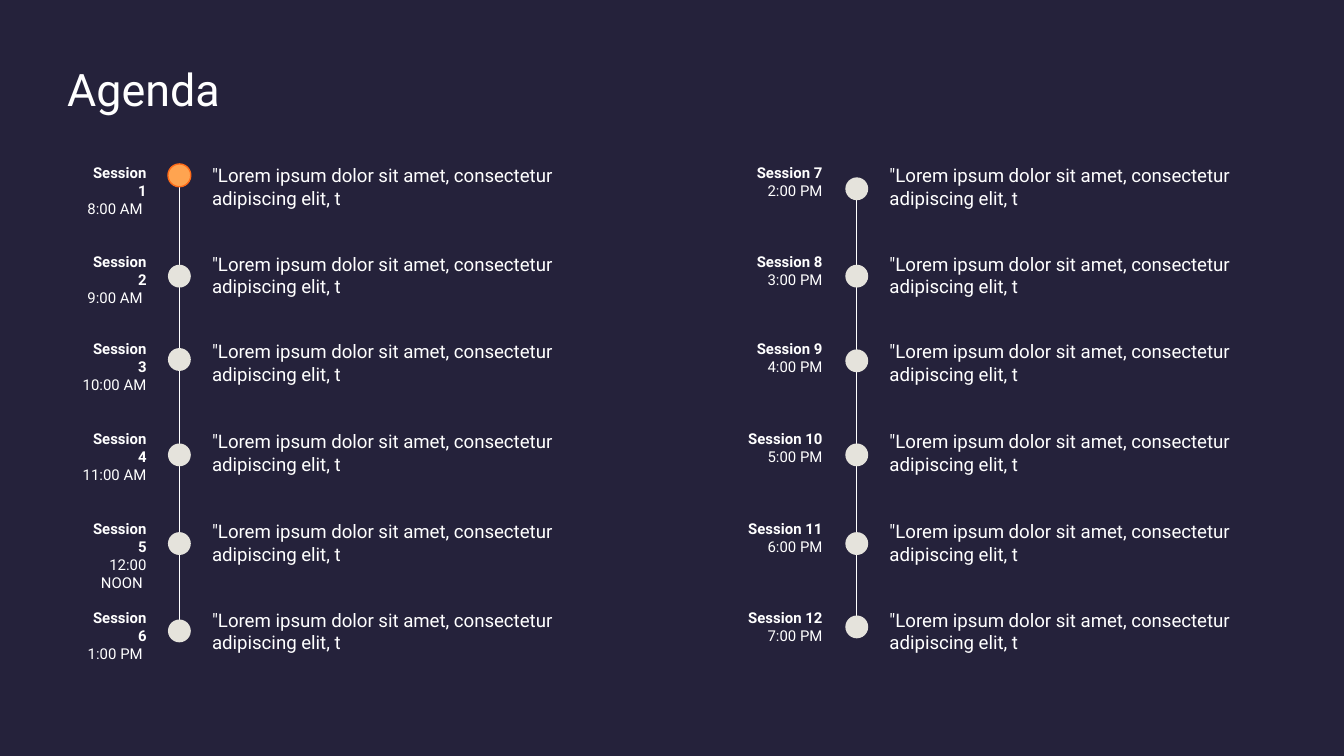
from lxml.etree import SubElement
from pptx import Presentation
from pptx.dml.color import RGBColor
from pptx.enum.shapes import MSO_CONNECTOR as CONNECTOR, MSO_SHAPE as SHAPE
from pptx.enum.text import MSO_ANCHOR as ANCHOR, MSO_AUTO_SIZE as AUTO_SIZE, PP_ALIGN as ALIGN
from pptx.oxml.ns import qn
from pptx.util import Inches, Pt

TITLE = "Agenda"
SUMMARY = '"Lorem ipsum dolor sit amet, consectetur adipiscing elit, t'
COLUMNS = [
    {
        "label_left": 0.51, "label_width": 0.68, "dot_left": 1.25, "summary_left": 1.48,
        "sessions": [
            ("Session 1", "8:00 AM ", 1.22),
            ("Session 2", "9:00 AM ", 1.97),
            ("Session 3", "10:00 AM", 2.59),
            ("Session 4", "11:00 AM ", 3.3),
            ("Session 5", "12:00 NOON ", 3.96),
            ("Session 6", "1:00 PM ", 4.61),
        ],
    },
    {
        "label_left": 5.44, "label_width": 0.78, "dot_left": 6.29, "summary_left": 6.52,
        "sessions": [
            ("Session 7", "2:00 PM", 1.32),
            ("Session 8", "3:00 PM", 1.97),
            ("Session 9", "4:00 PM", 2.6),
            ("Session 10", "5:00 PM", 3.3),
            ("Session 11", "6:00 PM", 3.96),
            ("Session 12", "7:00 PM", 4.58),
        ],
    },
]
CURRENT = "Session 1"
ROW_TOPS = (1.12, 1.78, 2.43, 3.1, 3.77, 4.43)
SLIDE_WIDTH, ROW_HEIGHT, SUMMARY_WIDTH, DOT = 10, 0.57, 2.86, 0.17
NIGHT, WHITE, STONE, ORANGE, RIM = "25223B", "FFFFFF", "E5E3DC", "FFA450", "FF6B18"


def rgb(value):
    """Return the colour for a hex string."""
    return RGBColor.from_string(value)


def write(shape, lines, align=ALIGN.LEFT):
    """Fill a shape with (text, size, bold) paragraphs."""
    frame = shape.text_frame
    frame.word_wrap = True
    frame.auto_size = AUTO_SIZE.NONE
    frame.vertical_anchor = ANCHOR.TOP
    frame.margin_left = frame.margin_right = Inches(0.1)
    frame.margin_top = frame.margin_bottom = Inches(0.1)
    frame.text = "\n".join(text for text, _, _ in lines)
    for paragraph, (_, size, bold) in zip(frame.paragraphs, lines):
        paragraph.alignment = align
        font = paragraph.font
        font.name, font.size, font.bold = "Roboto", Pt(size), bold
        font.color.rgb = rgb(WHITE)


def add_text(slide, left, top, width, lines, align=ALIGN.LEFT):
    """Add a text box of one row's height."""
    box = slide.shapes.add_textbox(*map(Inches, (left, top, width, ROW_HEIGHT)))
    write(box, lines, align)


def add_timeline(slide, x, start, end):
    """Add the vertical line that links the dots."""
    line = slide.shapes.add_connector(CONNECTOR.STRAIGHT, *map(Inches, (x, start, x, end)))
    line.line.color.rgb = rgb(WHITE)
    line.line.width = Pt(0.75)
    SubElement(line._element.spPr, qn("a:effectLst"))


def add_dot(slide, left, top, current):
    """Add a session dot, highlighted for the current session."""
    dot = slide.shapes.add_shape(SHAPE.OVAL, *map(Inches, (left, top, DOT, DOT)))
    dot.shadow.inherit = False
    dot.fill.solid()
    dot.fill.fore_color.rgb = rgb(ORANGE if current else STONE)
    if current:
        dot.line.color.rgb = rgb(RIM)
        dot.line.width = Pt(0.75)
    else:
        dot.line.fill.background()


def add_column(slide, column):
    """Add one timeline with its labels and summaries."""
    sessions = column["sessions"]
    first_dot, last_dot = sessions[0][2], sessions[-1][2]
    add_timeline(slide, column["dot_left"] + DOT / 2, first_dot + DOT / 2, last_dot)
    for top, (session, time, dot_top) in zip(ROW_TOPS, sessions):
        add_dot(slide, column["dot_left"], dot_top, session == CURRENT)
        label = [(session, 8, True), (time, 8, False)]
        add_text(slide, column["label_left"], top, column["label_width"], label, ALIGN.RIGHT)
        add_text(slide, column["summary_left"], top, SUMMARY_WIDTH, [(SUMMARY, 10, False)])


def main():
    """Build the agenda slide."""
    deck = Presentation()
    deck.slide_width, deck.slide_height = Inches(SLIDE_WIDTH), Inches(SLIDE_WIDTH * 9 / 16)
    slide = deck.slides.add_slide(deck.slide_layouts[5])
    slide.background.fill.solid()
    slide.background.fill.fore_color.rgb = rgb(NIGHT)
    title = slide.shapes.title
    title.left, title.top, title.width, title.height = map(Inches, (0.4, 0.36, 1.51, 0.57))
    write(title, [(TITLE, 24, False)])
    for column in COLUMNS:
        add_column(slide, column)
    deck.save("out.pptx")


if __name__ == "__main__":
    main()
